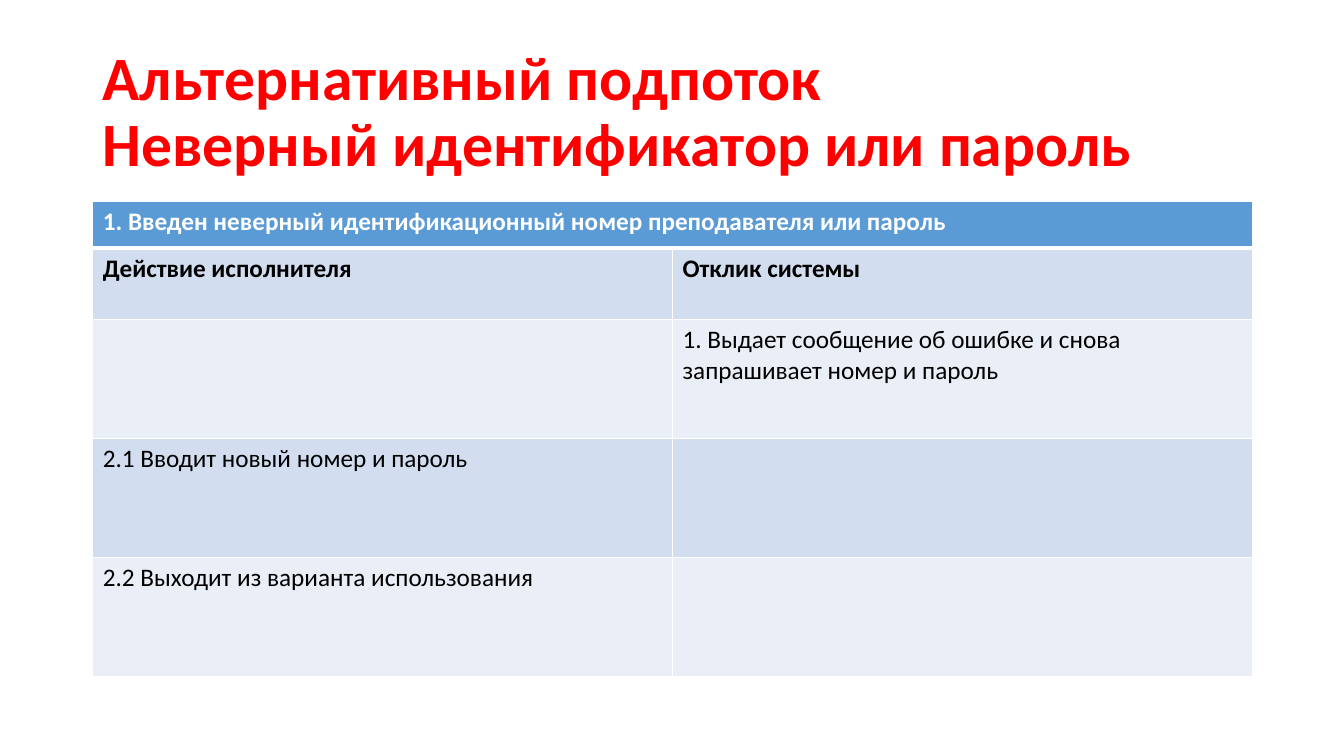
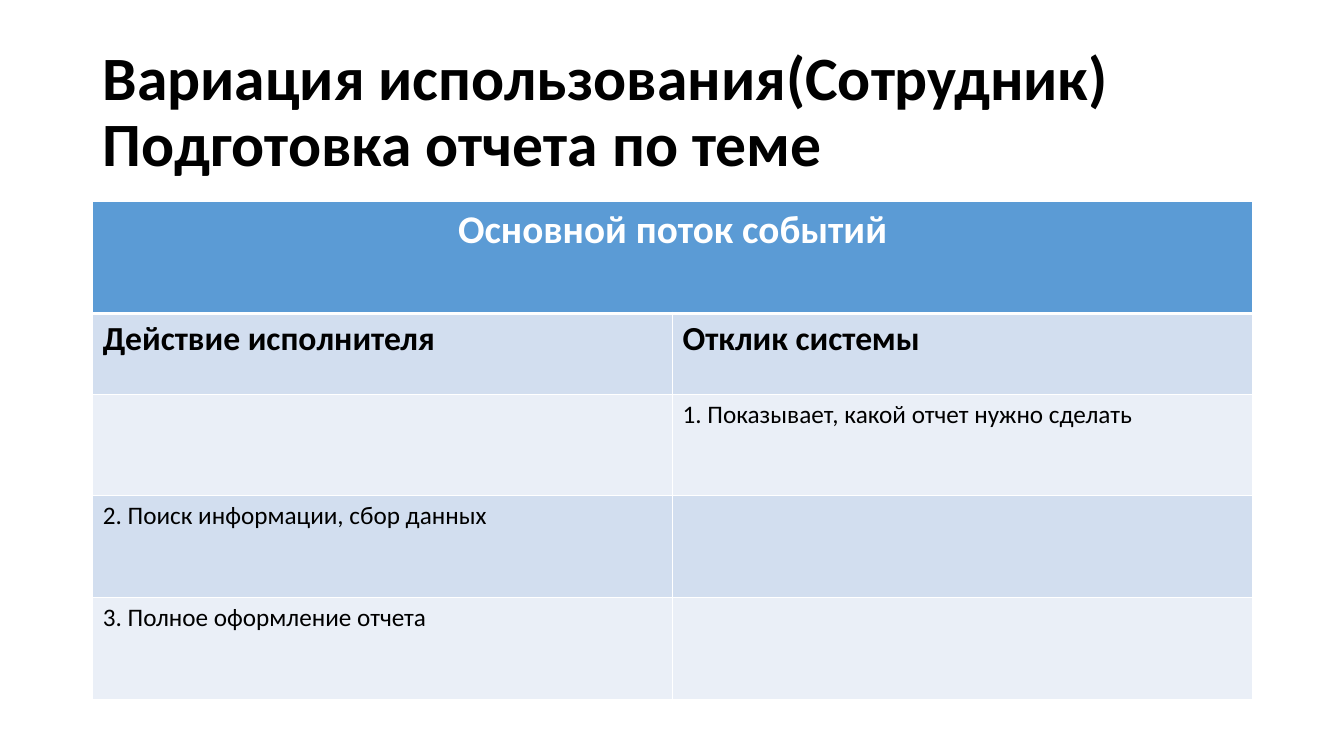
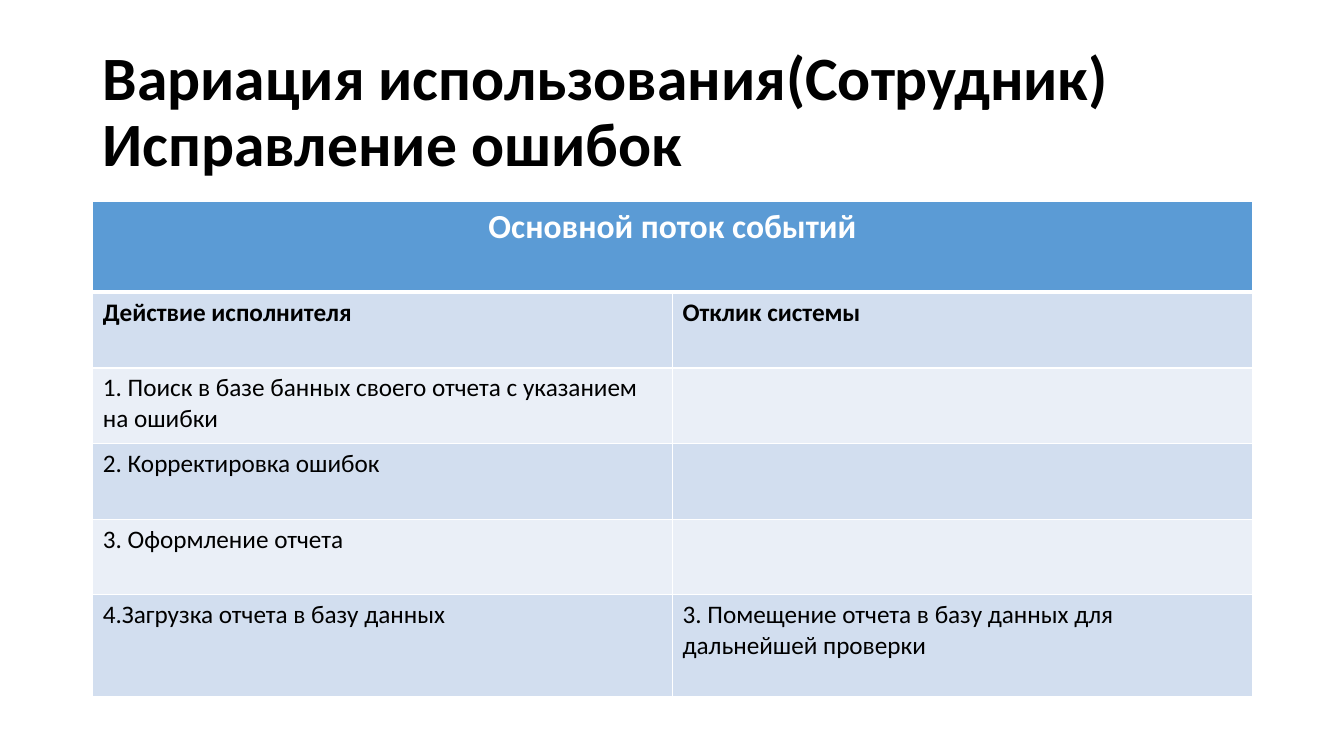
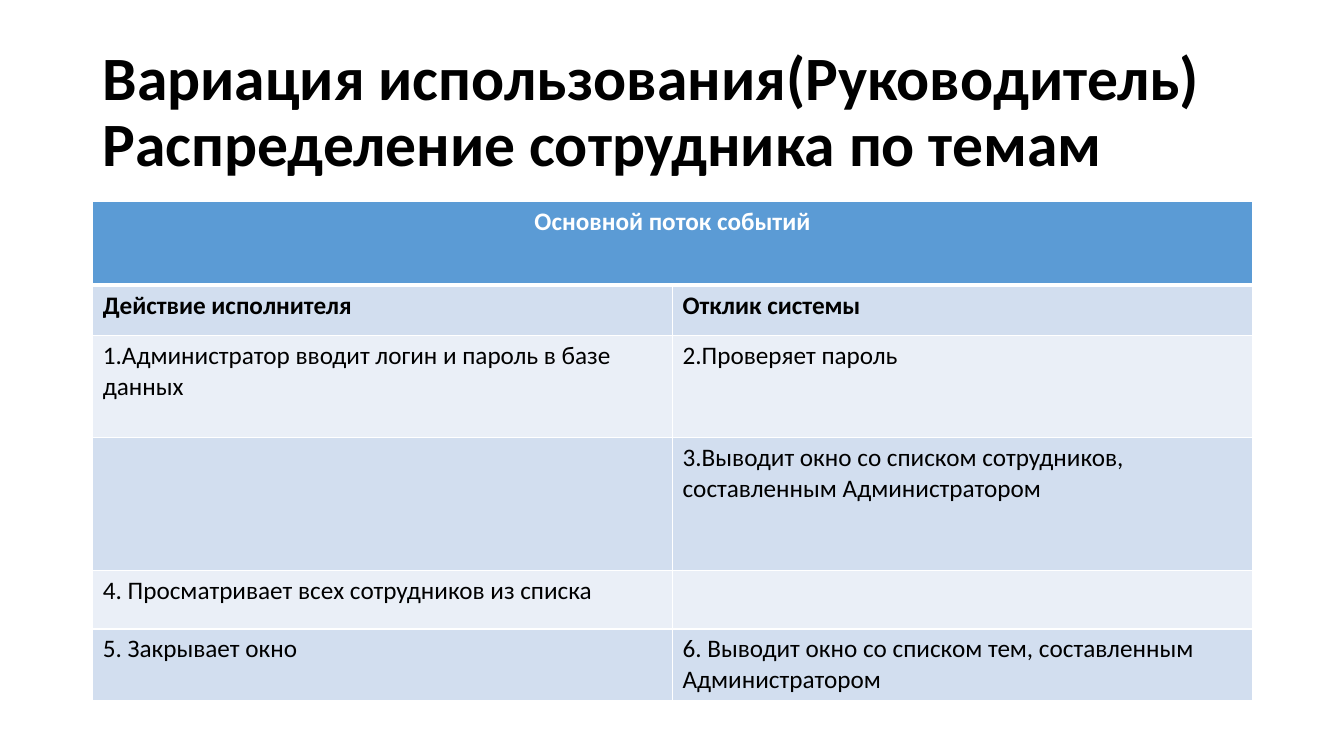
from lxml import etree
from pptx import Presentation, util as u
from pptx.dml.color import RGBColor
from pptx.enum import text
from pptx.oxml.ns import qn

COLORS = {
    "black": "000000",
    "white": "FFFFFF",
    "red": "FF0000",
    "header": "5B9BD5",
    "band_dark": "D2DEEF",
    "band_light": "EAEFF7",
}
FONT = "Calibri"
LEFT, WIDTH = 0.92, 11.5
COLUMN_HEADS = ("Действие исполнителя", "Отклик системы")
MAIN_FLOW = "Основной поток событий"


def color(name):
    return RGBColor.from_string(COLORS[name])


class FlowDeck:
    """Holds the shared style and the current page."""

    def __init__(self):
        self.deck = Presentation()
        self.deck.slide_width = u.Inches(13.33)
        self.deck.slide_height = u.Inches(7.5)
        self.page = None

    def add_page(self):
        self.page = self.deck.slides.add_slide(self.deck.slide_layouts[6])

    def add_span(self, para, words, size, ink, bold):
        span = para.add_run()
        span.text = words
        span.font.name = FONT
        span.font.size = u.Pt(size)
        span.font.bold = bold
        span.font.color.rgb = color(ink)

    def title(self, lines, ink):
        box = self.page.shapes.add_textbox(
            u.Inches(LEFT), u.Inches(0.4), u.Inches(WIDTH), u.Inches(1.45))
        frame = box.text_frame
        frame.word_wrap = True
        frame.vertical_anchor = text.MSO_ANCHOR.MIDDLE
        para = frame.paragraphs[0]
        para.line_spacing = 0.9
        for index, line in enumerate(lines):
            if index:
                para.add_line_break()
            self.add_span(para, line, 44, ink, True)

    def borders(self, cell, top, bottom):
        props = cell._tc.get_or_add_tcPr()
        widths = {"a:lnL": 1, "a:lnR": 1, "a:lnT": top, "a:lnB": bottom}
        for position, (tag, points) in enumerate(widths.items()):
            line = etree.Element(qn(tag), w=str(u.Pt(points)))
            fill = etree.SubElement(line, qn("a:solidFill"))
            etree.SubElement(fill, qn("a:srgbClr"), val=COLORS["white"])
            props.insert(position, line)

    def flow_table(self, heading, steps, heights, heading_size, head_size, centred):
        rows = [(heading, ""), COLUMN_HEADS, *steps]
        table = self.page.shapes.add_table(
            len(rows), 2, u.Inches(LEFT), u.Inches(2),
            u.Inches(WIDTH), u.Inches(sum(heights))).table
        table.cell(0, 0).merge(table.cell(0, 1))
        sizes = [heading_size, head_size] + [18] * len(steps)
        for r, (row, height, size) in enumerate(zip(rows, heights, sizes)):
            table.rows[r].height = u.Inches(height)
            band = "header" if r == 0 else ("band_light", "band_dark")[r % 2]
            for c, words in enumerate(row):
                cell = table.cell(r, c)
                cell.fill.solid()
                cell.fill.fore_color.rgb = color(band)
                # A thick rule parts the heading from the body
                self.borders(cell, 3 if r == 1 else 1, 3 if r == 0 else 1)
                if words:
                    para = cell.text_frame.paragraphs[0]
                    if r == 0 and centred:
                        para.alignment = text.PP_ALIGN.CENTER
                    self.add_span(para, words, size, "black" if r else "white", r < 2)


# Content of each page; row heights in inches
PAGES = [
    dict(
        title=("Альтернативный подпоток", "Неверный идентификатор или пароль"),
        ink="red",
        heading="1. Введен неверный идентификационный номер преподавателя или пароль",
        steps=[
            ("", "1. Выдает сообщение об ошибке и снова запрашивает номер и пароль"),
            ("2.1 Вводит новый номер и пароль", ""),
            ("2.2 Выходит из варианта использования", ""),
        ],
        heights=[0.46, 0.71, 1.18, 1.18, 1.18],
        heading_size=18, head_size=18, centred=False,
    ),
    dict(
        title=("Вариация использования(Сотрудник)", "Подготовка отчета по теме"),
        steps=[
            ("", "1. Показывает, какой отчет нужно сделать"),
            ("2. Поиск информации, сбор данных", ""),
            ("3. Полное оформление отчета", ""),
        ],
        heights=[1.11, 0.8, 1.01, 1.01, 1.01],
        heading_size=28, head_size=24,
    ),
    dict(
        title=("Вариация использования(Сотрудник)", "Исправление ошибок"),
        steps=[
            ("1. Поиск в базе банных своего отчета с указанием на ошибки", ""),
            ("2. Корректировка ошибок", ""),
            ("3. Оформление отчета", ""),
            ("4.Загрузка отчета в базу данных",
             "3. Помещение отчета в базу данных для дальнейшей проверки"),
        ],
        heights=[0.9, 0.75, 0.75, 0.75, 0.75, 1.01],
        heading_size=24, head_size=18,
    ),
    dict(
        title=("Вариация использования(Руководитель)",
               "Распределение сотрудника по темам"),
        steps=[
            ("1.Администратор вводит логин и пароль в базе данных",
             "2.Проверяет пароль"),
            ("", "3.Выводит окно со списком сотрудников, составленным Администратором"),
            ("4. Просматривает всех сотрудников из списка", ""),
            ("5. Закрывает окно",
             "6. Выводит окно со списком тем, составленным Администратором"),
        ],
        heights=[0.83, 0.5, 1.01, 1.32, 0.58, 0.71],
        heading_size=18, head_size=18,
    ),
]


def main():
    flow = FlowDeck()
    for content in PAGES:
        flow.add_page()
        flow.title(content["title"], content.get("ink", "black"))
        flow.flow_table(
            content.get("heading", MAIN_FLOW), content["steps"], content["heights"],
            content["heading_size"], content["head_size"],
            content.get("centred", True))
    flow.deck.save("out.pptx")


if __name__ == "__main__":
    main()
